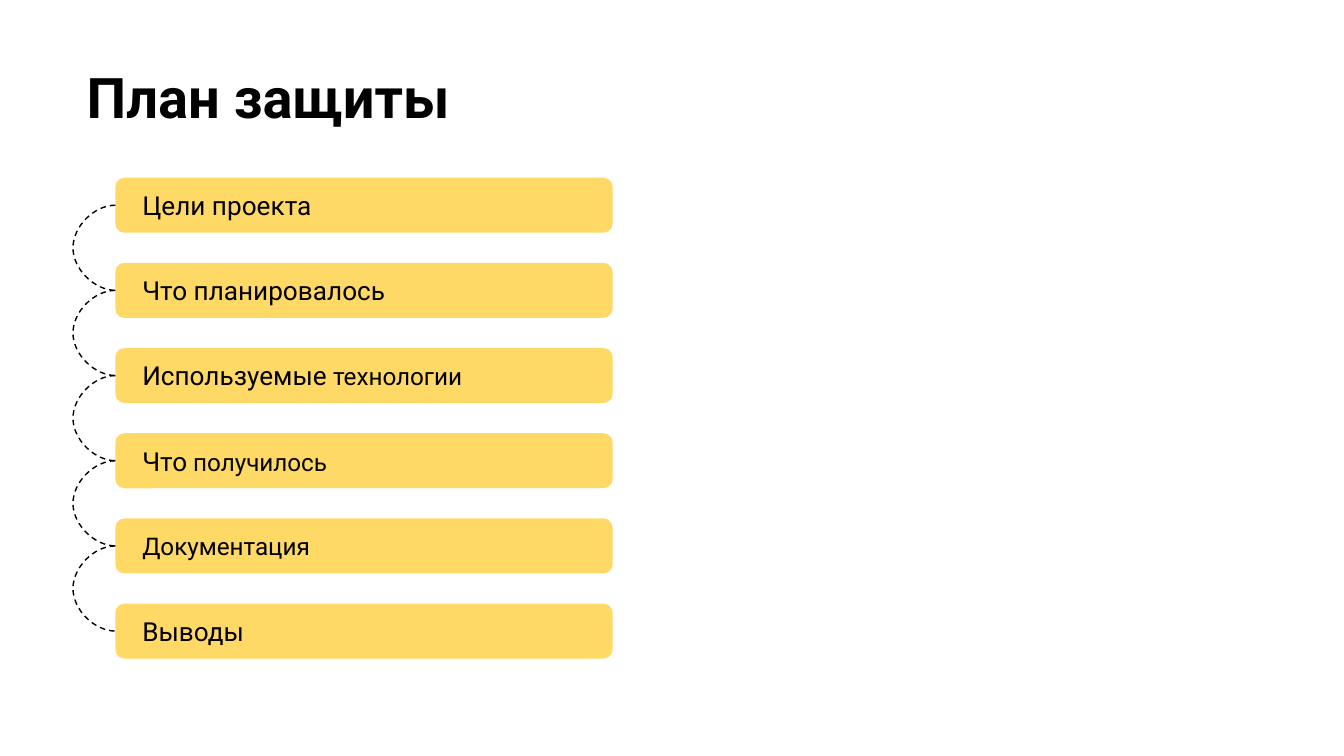
import pptx
import pptx.dml.color
import pptx.enum.dml
import pptx.enum.shapes
import pptx.enum.text
import pptx.oxml
import pptx.oxml.ns
import pptx.util
from pptx.util import Cm

FONT = "Roboto"
BLACK, INK, YELLOW = "000000", "050505", "FFD966"

# Each plan item is a list of runs: text, size, colour
PLAN = [
    [("Цели проекта", 14, BLACK)],
    [("Что планировалось", 14, BLACK)],
    [("Используемые", 14, BLACK), (" технологии", 13, BLACK)],
    [("Что", 14, BLACK), (" получилось", 13, INK)],
    [("Документация", 13, BLACK)],
    [("Выводы", 14, BLACK)],
]


def rgb(value):
    return pptx.dml.color.RGBColor.from_string(value)


def set_attrs(obj, values):
    for name, value in values.items():
        setattr(obj, name, value)


def fill_text(sp, runs, anchor, inset_x, bold=False):
    tf = sp.text_frame
    set_attrs(tf, {
        "word_wrap": True, "vertical_anchor": anchor,
        "margin_left": inset_x, "margin_right": inset_x,
        "margin_top": Cm(0.25), "margin_bottom": Cm(0.25),
    })
    p = tf.paragraphs[0]
    p.alignment = pptx.enum.text.PP_ALIGN.LEFT
    for text, size, color in runs:
        r = p.add_run()
        r.text = text
        set_attrs(r.font, {"name": FONT, "size": pptx.util.Pt(size), "bold": bold})
        r.font.color.rgb = rgb(color)


def add_title(s, left, top, width, height):
    sp = s.shapes.add_textbox(left, top, width, height)
    fill_text(sp, [("План защиты", 30, BLACK)],
              pptx.enum.text.MSO_ANCHOR.TOP, Cm(0.25), bold=True)


def add_bar(s, runs, left, top, width, height):
    sp = s.shapes.add_shape(
        pptx.enum.shapes.MSO_SHAPE.ROUNDED_RECTANGLE, left, top, width, height)
    sp.shadow.inherit = False
    sp.fill.solid()
    sp.fill.fore_color.rgb = rgb(YELLOW)
    sp.line.fill.background()
    fill_text(sp, runs, pptx.enum.text.MSO_ANCHOR.MIDDLE, Cm(0.46))
    return sp


def link_bars(s, upper, lower):
    """Dashed curve bulging left between the left edges of two bars."""
    # Starting at the bars keeps the connector from being flipped
    cx = s.shapes.add_connector(
        pptx.enum.shapes.MSO_CONNECTOR.CURVE,
        upper.left, upper.top + upper.height // 2,
        lower.left, lower.top + lower.height // 2)
    cx.begin_connect(upper, 1)
    cx.end_connect(lower, 1)
    cx.width = Cm(0.01)
    cx.line.color.rgb = rgb(BLACK)
    set_attrs(cx.line, {"width": pptx.util.Pt(0.75),
                        "dash_style": pptx.enum.dml.MSO_LINE.DASH})
    # Bulge of 0.8 cm, as a share of the 0.01 cm width
    geom = cx._element.spPr.find(pptx.oxml.ns.qn("a:prstGeom"))
    guides = geom.get_or_add_avLst()
    guides.append(pptx.oxml.parse_xml(
        f'<a:gd {pptx.oxml.ns.nsdecls("a")} name="adj1" fmla="val -8000000"/>'))
    cx._element.spPr.append(pptx.oxml.parse_xml(
        f'<a:effectLst {pptx.oxml.ns.nsdecls("a")}/>'))


def add_plan(s, left, top, width, height):
    bar_h = Cm(1.04)
    pitch = (height - bar_h) / (len(PLAN) - 1)
    bars = [add_bar(s, runs, left, round(top + i * pitch), width, bar_h)
            for i, runs in enumerate(PLAN)]
    for upper, lower in zip(bars, bars[1:]):
        link_bars(s, upper, lower)


def main():
    prs = pptx.Presentation()
    set_attrs(prs, {"slide_width": Cm(25.4), "slide_height": Cm(14.29)})
    s = prs.slides.add_slide(prs.slide_layouts[6])
    add_title(s, Cm(1.39), Cm(0.93), Cm(23.67), Cm(3.05))
    add_plan(s, Cm(2.18), Cm(3.36), Cm(9.4), Cm(9.09))
    prs.save("out.pptx")


if __name__ == "__main__":
    main()
